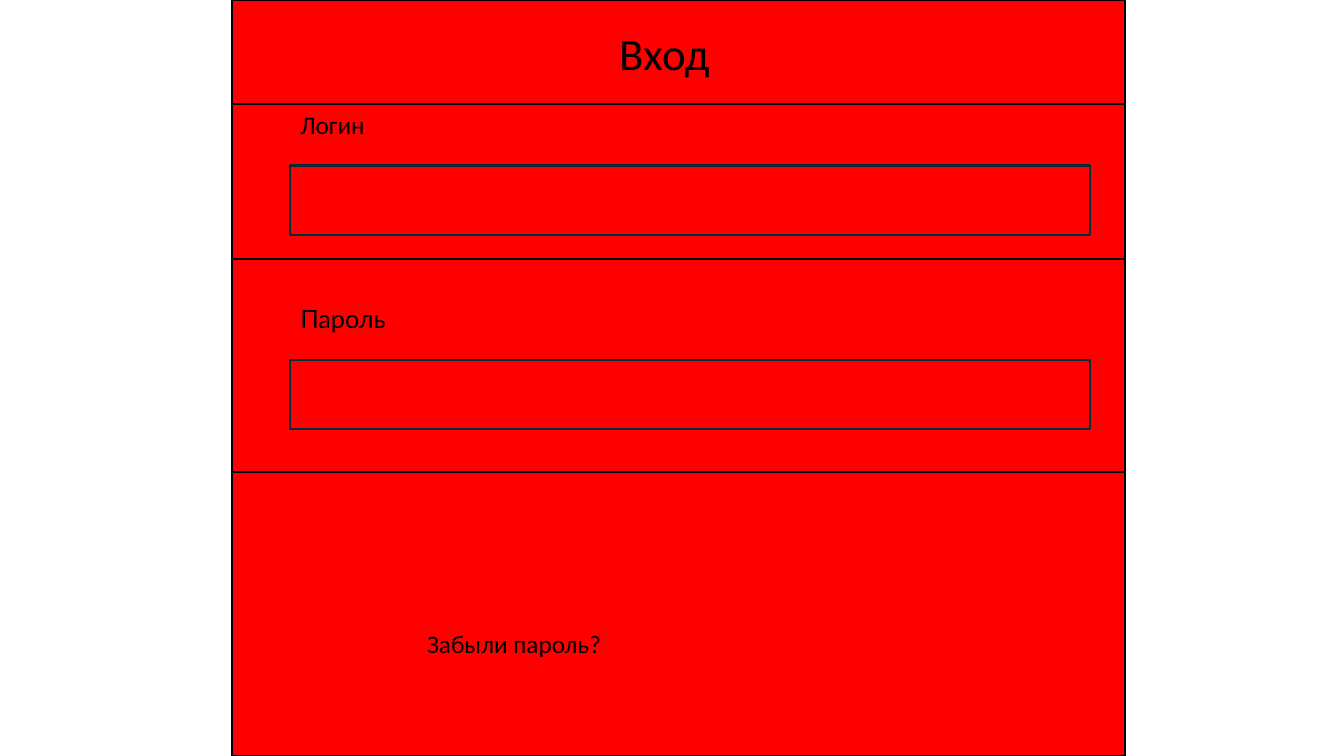
from lxml import etree
from pptx import Presentation
from pptx.dml.color import RGBColor
from pptx.enum import shapes, text
from pptx.oxml import ns
from pptx.util import Pt

COLOURS = {"panel": "FF0000", "ink": "000000", "field": "092A39"}
LINE_WIDTH = 1.5
PANEL_LEFT, PANEL_WIDTH, PANEL_HEIGHT = 165.6, 638, 540
FIELD_LEFT, FIELD_WIDTH, FIELD_HEIGHT = 207.4, 571, 49.7
LABEL_HEIGHT = 29
FIELD_OFFSET = 44  # from the top of a label to the top of its field

DIVIDERS = [74.2, 185, 337]
FIELDS = [("Логин", 74.2, 65, "Calibri"), ("Пароль", 213, 77, "Lato")]


def colour(name):
    return RGBColor.from_string(COLOURS[name])


def set_all(target, values):
    for name, value in values.items():
        setattr(target, name, value)


def set_line(shape, name):
    shape.line.width = Pt(LINE_WIDTH)
    shape.line.color.rgb = colour(name)


def add_rectangle(slide, left, top, width, height, line, fill=None):
    shape = slide.shapes.add_shape(
        shapes.MSO_SHAPE.RECTANGLE, Pt(left), Pt(top), Pt(width), Pt(height))
    shape.shadow.inherit = False
    if fill:
        shape.fill.solid()
        shape.fill.fore_color.rgb = colour(fill)
    else:
        shape.fill.background()
    set_line(shape, line)
    return shape


def add_divider(slide, top):
    connector = slide.shapes.add_connector(
        shapes.MSO_CONNECTOR.STRAIGHT,
        Pt(PANEL_LEFT), Pt(top), Pt(PANEL_LEFT + PANEL_WIDTH), Pt(top))
    set_line(connector, "ink")
    etree.SubElement(connector.element.spPr, ns.qn("a:effectLst"))


def write(shape, words, size, font="Calibri"):
    frame = shape.text_frame
    set_all(frame, {
        "word_wrap": True,
        "auto_size": text.MSO_AUTO_SIZE.NONE,
        "vertical_anchor": text.MSO_ANCHOR.TOP,
        "margin_left": Pt(7.2), "margin_right": Pt(7.2),
        "margin_top": Pt(3.6), "margin_bottom": Pt(3.6),
    })
    paragraph = frame.paragraphs[0]
    paragraph.alignment = text.PP_ALIGN.LEFT
    run = paragraph.add_run()
    run.text = words
    set_all(run.font, {"name": font, "size": Pt(size)})
    run.font.color.rgb = colour("ink")


def add_label(slide, words, left, top, width, font="Calibri"):
    label = slide.shapes.add_textbox(Pt(left), Pt(top), Pt(width), Pt(LABEL_HEIGHT))
    write(label, words, 18, font)


def main():
    presentation = Presentation()
    set_all(presentation, {"slide_width": Pt(960), "slide_height": Pt(540)})
    slide = presentation.slides.add_slide(presentation.slide_layouts[5])

    # Title, in front of the red panel
    title = slide.shapes.title
    set_all(title, {"left": Pt(435), "top": Pt(14.4),
                    "width": Pt(90), "height": Pt(46)})
    write(title, "Вход", 32)
    panel = add_rectangle(slide, PANEL_LEFT, 0, PANEL_WIDTH, PANEL_HEIGHT,
                          "ink", "panel")
    title.element.addprevious(panel.element)

    # Section dividers
    for top in DIVIDERS:
        add_divider(slide, top)

    # Labelled input fields
    for words, top, width, font in FIELDS:
        add_label(slide, words, FIELD_LEFT, top, width, font)
        add_rectangle(slide, FIELD_LEFT, top + FIELD_OFFSET,
                      FIELD_WIDTH, FIELD_HEIGHT, "field")

    # Password recovery
    add_label(slide, "Забыли пароль?", 298, 445, 149)

    presentation.save("out.pptx")


if __name__ == "__main__":
    main()
